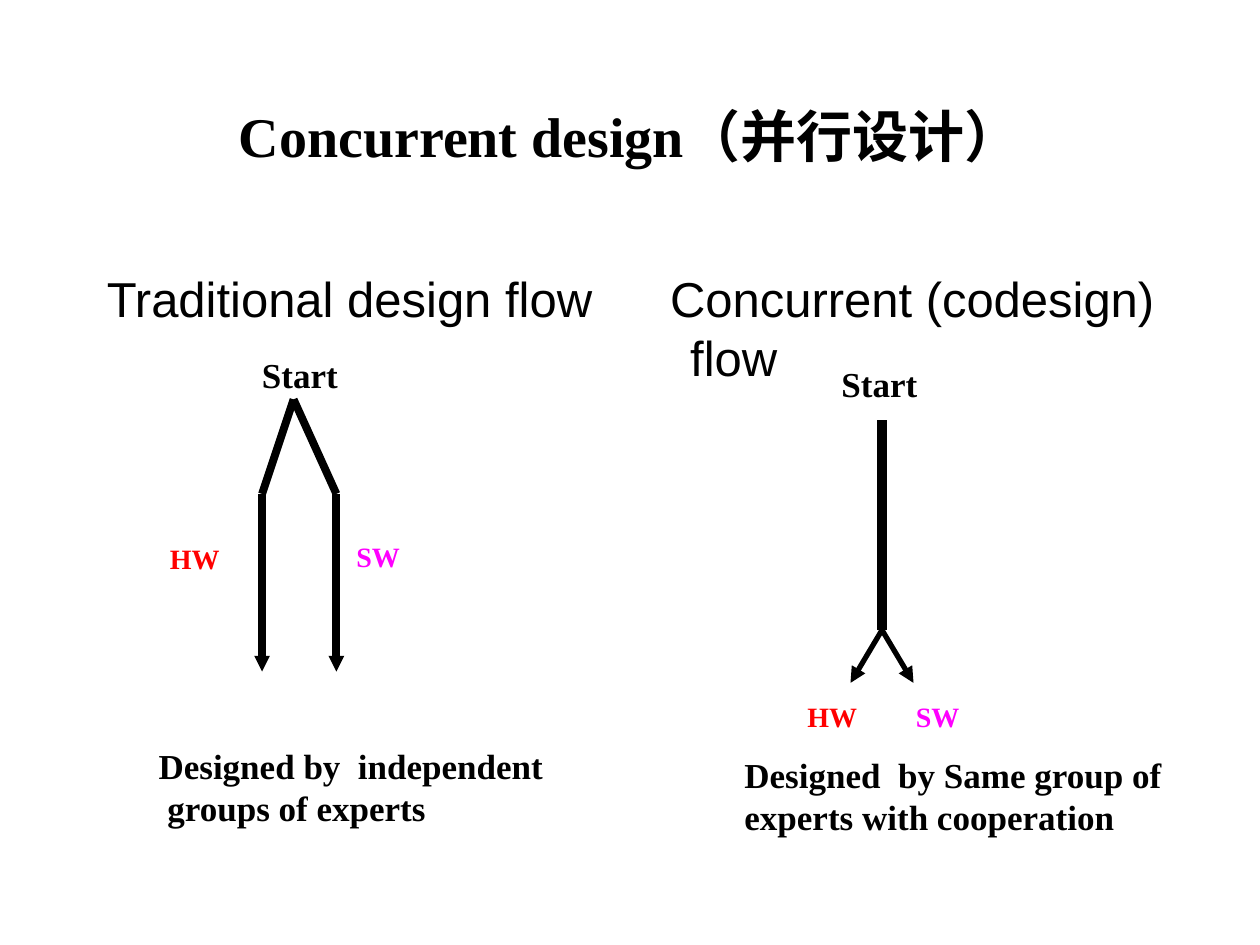
import pptx
import pptx.dml.color
import pptx.enum.shapes
import pptx.enum.text
import pptx.oxml
import pptx.util
from pptx.util import Inches

COLORS = {"ink": "000000", "hardware": "FF0000", "software": "FF00FF"}
SERIF, SANS = "Times New Roman", "Arial"


def add_text(slide, box, lines, size, font=SERIF, color="ink", bold=True, wrap=False):
    """Add a text box with one paragraph per line and return its text frame."""
    frame = slide.shapes.add_textbox(*(Inches(value) for value in box)).text_frame
    frame.word_wrap = wrap
    if not wrap:
        frame.auto_size = pptx.enum.text.MSO_AUTO_SIZE.SHAPE_TO_FIT_TEXT
    for index, line in enumerate(lines):
        paragraph = frame.paragraphs[0] if index == 0 else frame.add_paragraph()
        run = paragraph.add_run()
        run.text = line
        run.font.name = font
        run.font.size = pptx.util.Pt(size)
        run.font.bold = bold
        run.font.color.rgb = pptx.dml.color.RGBColor.from_string(COLORS[color])
    return frame


def set_indent(paragraph, left, first_line):
    """Set the left margin and first-line offset of a paragraph."""
    properties = paragraph._p.get_or_add_pPr()
    properties.set("marL", str(Inches(left)))
    properties.set("indent", str(Inches(first_line)))


def add_path(slide, origin, start, end, width, arrow_size=None):
    """Draw a straight line between two points measured from the origin."""
    left, top = origin
    path = slide.shapes.add_connector(
        pptx.enum.shapes.MSO_CONNECTOR.STRAIGHT,
        Inches(left + start[0]), Inches(top + start[1]),
        Inches(left + end[0]), Inches(top + end[1]))
    path.line.width = pptx.util.Pt(width)
    path.line.color.rgb = pptx.dml.color.RGBColor.from_string(COLORS["ink"])
    if arrow_size:
        tail = pptx.oxml.parse_xml(
            '<a:tailEnd xmlns:a="http://schemas.openxmlformats.org/drawingml/2006/main"'
            f' type="triangle" w="{arrow_size}" len="{arrow_size}"/>')
        path.line._get_or_add_ln().append(tail)
    effects = pptx.oxml.parse_xml(
        '<a:effectLst xmlns:a="http://schemas.openxmlformats.org/drawingml/2006/main"/>')
    path._element.spPr.append(effects)


def add_title(slide, box):
    """Place the centred slide title."""
    title = add_text(slide, box, ["Concurrent design（并行设计）"], 32, wrap=True)
    title.vertical_anchor = pptx.enum.text.MSO_ANCHOR.MIDDLE
    title.paragraphs[0].alignment = pptx.enum.text.PP_ALIGN.CENTER


def add_flow_text(slide, box, heading, first_line, labels, caption):
    """Place a flow's heading, labels and caption; return the caption frame."""
    left, top = box[:2]
    heading_frame = add_text(slide, box, [heading], 28, SANS, bold=False, wrap=True)
    heading_frame.paragraphs[0].space_before = pptx.util.Pt(7)
    set_indent(heading_frame.paragraphs[0], 0.38, first_line)
    for word, size, color, (x, y, w, h) in labels:
        add_text(slide, (left + x, top + y, w, h), [word], size, color=color)
    (x, y, w, h), lines = caption
    return add_text(slide, (left + x, top + y, w, h), lines, 20)


def add_traditional_flow(slide, box):
    """Draw the flow that splits into hardware and software at the start."""
    origin = box[:2]
    apex, split_y, end_y = (1.58, 1.09), 1.84, 3.25
    for branch_x in (1.33, 1.92):
        add_path(slide, origin, apex, (branch_x, split_y), 4.5)
        add_path(slide, origin, (branch_x, split_y), (branch_x, end_y), 4.5, "sm")
    labels = [
        ("Start", 20, "ink", (1.23, 0.68, 0.81, 0.44)),
        ("HW", 16, "hardware", (0.5, 2.17, 0.6, 0.37)),
        ("SW", 16, "software", (1.98, 2.15, 0.56, 0.37)),
    ]
    caption = ((0.41, 3.78, 3.28, 0.77), ["Designed by  independent", "groups of experts"])
    experts = add_flow_text(slide, box, "Traditional design flow", -0.38, labels, caption)
    set_indent(experts.paragraphs[1], 0.07, 0)


def add_concurrent_flow(slide, box):
    """Draw the flow that splits into hardware and software at the end."""
    origin = box[:2]
    fork = (2, 2.92)
    add_path(slide, origin, fork, (2, 1.25), 6)
    for tip_x in (1.75, 2.25):
        add_path(slide, origin, fork, (tip_x, 3.34), 3, "med")
    labels = [
        ("Start", 20, "ink", (1.58, 0.75, 0.81, 0.44)),
        ("HW", 16, "hardware", (1.31, 3.42, 0.6, 0.37)),
        ("SW", 16, "software", (2.17, 3.42, 0.56, 0.37)),
    ]
    caption = ((0.81, 3.85, 3.6, 0.77),
               ["Designed  by Same group of", "experts with cooperation"])
    add_flow_text(slide, box, "Concurrent (codesign) flow", -0.16, labels, caption)


def main():
    """Build and save the slide."""
    deck = pptx.Presentation()
    deck.slide_width, deck.slide_height = Inches(10), Inches(7.5)
    slide = deck.slides.add_slide(deck.slide_layouts[6])
    add_title(slide, (0.5, 0.6, 9, 0.95))
    add_traditional_flow(slide, (0.75, 2.08, 4.28, 4.5))
    add_concurrent_flow(slide, (5, 2.08, 4.4, 4.5))
    deck.save("out.pptx")


if __name__ == "__main__":
    main()
